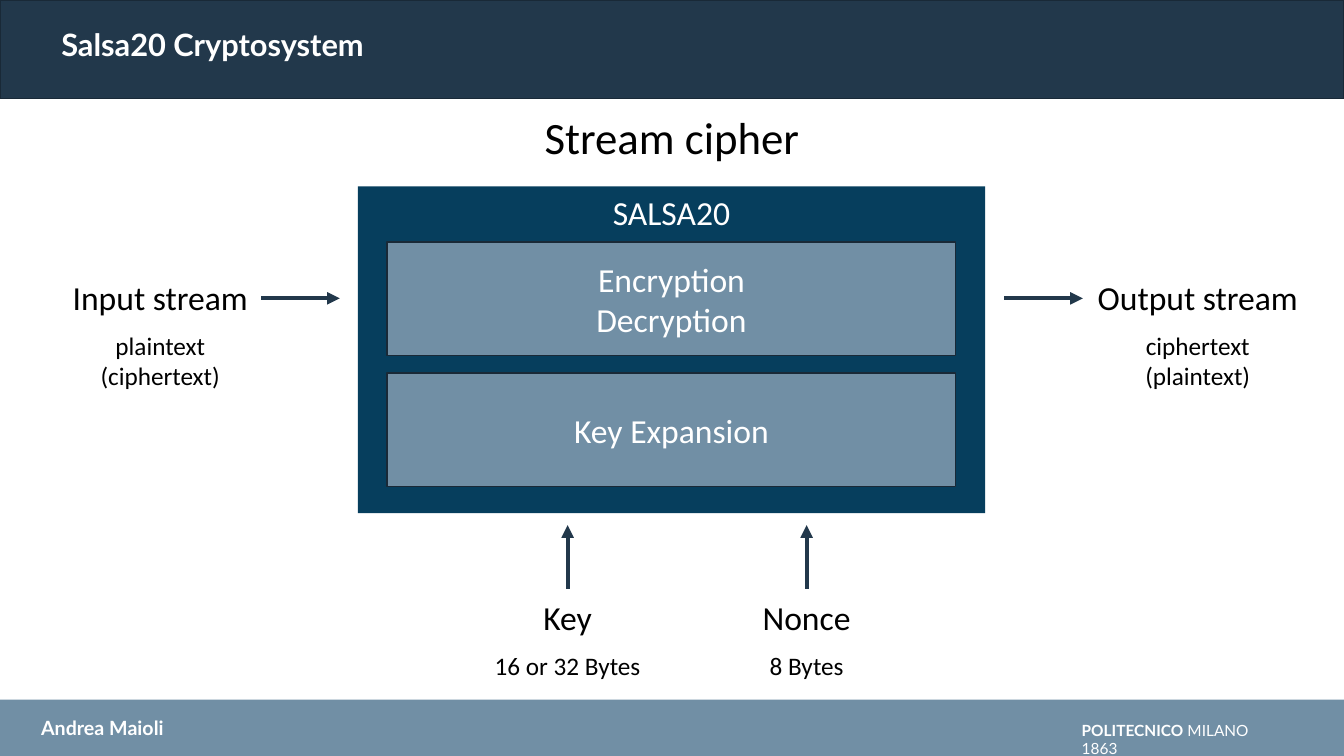
"""Build the slide that outlines the Salsa20 stream cipher."""
import pptx
import pptx.dml.color
import pptx.enum.shapes
import pptx.enum.text
import pptx.oxml
import pptx.oxml.ns
import pptx.util

Inches = pptx.util.Inches
Pt = pptx.util.Pt
RGBColor = pptx.dml.color.RGBColor
Align = pptx.enum.text.PP_ALIGN
Anchor = pptx.enum.text.MSO_ANCHOR

WIDTH, HEIGHT = 13.33, 7.5
WHITE = RGBColor(0xFF, 0xFF, 0xFF)
BLACK = RGBColor(0x00, 0x00, 0x00)
NAVY = RGBColor(0x22, 0x38, 0x4B)
OUTLINE = RGBColor(0x19, 0x29, 0x37)
STEEL = RGBColor(0x71, 0x8F, 0xA5)
DEEP_BLUE = RGBColor(0x06, 0x3E, 0x5D)


def style_text(frame, size, color, font="Calibri", bold=False, align=Align.CENTER):
    """Format every run of a text frame alike."""
    for paragraph in frame.paragraphs:
        paragraph.alignment = align
        for run in paragraph.runs:
            run.font.name = font
            run.font.size = Pt(size)
            run.font.bold = bold
            run.font.color.rgb = color


def add_block(slide, left, top, width, height, fill, outline=None, text="", anchor=Anchor.MIDDLE):
    """Add a filled rectangle with an optional outline and centred text."""
    block = slide.shapes.add_shape(
        pptx.enum.shapes.MSO_SHAPE.RECTANGLE,
        Inches(left), Inches(top), Inches(width), Inches(height))
    block.shadow.inherit = False
    block.fill.solid()
    block.fill.fore_color.rgb = fill
    if outline is None:
        block.line.fill.background()
    else:
        block.line.color.rgb = outline
        block.line.width = Pt(1)
    if text:
        block.text_frame.text = text
        block.text_frame.vertical_anchor = anchor
        style_text(block.text_frame, 24, WHITE)


def add_text(slide, left, top, width, height, text, wrap=True):
    """Add a text box and return its text frame."""
    frame = slide.shapes.add_textbox(
        Inches(left), Inches(top), Inches(width), Inches(height)).text_frame
    frame.word_wrap = wrap
    frame.text = text
    return frame


def add_label(slide, center, top, width, height, text, size):
    """Add an unwrapped black label centred on a vertical axis."""
    frame = add_text(slide, center - width / 2, top, width, height, text, wrap=False)
    style_text(frame, size, BLACK)


def add_arrow(slide, start, end):
    """Add a thick navy arrow from start to end."""
    arrow = slide.shapes.add_connector(
        pptx.enum.shapes.MSO_CONNECTOR.STRAIGHT,
        *(Inches(length) for length in (*start, *end)))
    arrow.line.color.rgb = NAVY
    arrow.line.width = Pt(3)
    line = arrow.line._get_or_add_ln()
    line.append(pptx.oxml.parse_xml(
        f'<a:tailEnd {pptx.oxml.ns.nsdecls("a")} type="triangle"/>'))
    arrow._element.spPr.append(pptx.oxml.parse_xml(
        f'<a:effectLst {pptx.oxml.ns.nsdecls("a")}/>'))


def add_header(slide, height, title):
    """Draw the title band across the top."""
    add_block(slide, 0, 0, WIDTH, height, NAVY, OUTLINE)
    frame = add_text(slide, 0.51, 0.25, 6.15, 0.36, title)
    frame.paragraphs[0].line_spacing = 0.9
    style_text(frame, 22, WHITE, "Lato", True, Align.LEFT)


def add_footer(slide, top, author, school, place):
    """Draw the bottom band with the author and the university."""
    add_block(slide, 0, top, WIDTH, HEIGHT - top, STEEL)
    author_frame = add_text(slide, 0.31, top + 0.11, 3.06, 0.34, author)
    style_text(author_frame, 14, WHITE, "Lato", True, Align.LEFT)
    school_frame = add_text(slide, 10.63, top + 0.16, 2.19, 0.29, school)
    school_frame.paragraphs[0].add_run().text = place
    style_text(school_frame, 11, WHITE, "Lato", False, Align.LEFT)
    school_frame.paragraphs[0].runs[0].font.bold = True


def add_cipher(slide, left, top, width, height):
    """Draw the cipher box with its two stages."""
    add_block(slide, left, top, width, height, DEEP_BLUE, text="SALSA20", anchor=Anchor.TOP)
    margin = 0.29
    for row, stage in enumerate(("Encryption\vDecryption", "Key Expansion")):
        add_block(slide, left + margin, top + 0.55 + 1.3 * row,
                  width - 2 * margin, 1.13, STEEL, OUTLINE, stage)


def add_port(slide, center, top, name, name_width, detail, detail_width, detail_height):
    """Write the name of an input or output above its detail."""
    add_label(slide, center, top, name_width, 0.5, name, 24)
    add_label(slide, center, top + 0.53, detail_width, detail_height, detail, 18)


def main():
    """Assemble and save the slide."""
    deck = pptx.Presentation()
    deck.slide_width, deck.slide_height = Inches(WIDTH), Inches(HEIGHT)
    slide = deck.slides.add_slide(deck.slide_layouts[6])

    add_header(slide, 0.98, "Salsa20 Cryptosystem")
    add_footer(slide, 6.94, "Andrea Maioli", "POLITECNICO", " MILANO 1863")
    add_label(slide, WIDTH / 2, 1.04, 2.75, 0.64, "Stream cipher", 32)
    add_cipher(slide, 3.55, 1.85, 6.22, 3.24)

    add_port(slide, 1.59, 2.7, "Input stream", 1.96, "plaintext\n(ciphertext)", 1.4, 0.71)
    add_port(slide, 11.88, 2.7, "Output stream", 2.21, "ciphertext\n(plaintext)", 1.24, 0.71)
    for arrow_left in (2.59, 9.96):
        add_arrow(slide, (arrow_left, 2.96), (arrow_left + 0.78, 2.96))

    add_port(slide, 5.63, 5.87, "Key", 0.69, "16 or 32 Bytes", 1.66, 0.4)
    add_port(slide, 8, 5.87, "Nonce", 1.08, "8 Bytes", 0.94, 0.4)
    for arrow_center in (5.63, 8):
        add_arrow(slide, (arrow_center, 5.84), (arrow_center, 5.21))

    deck.save("out.pptx")


if __name__ == "__main__":
    main()
